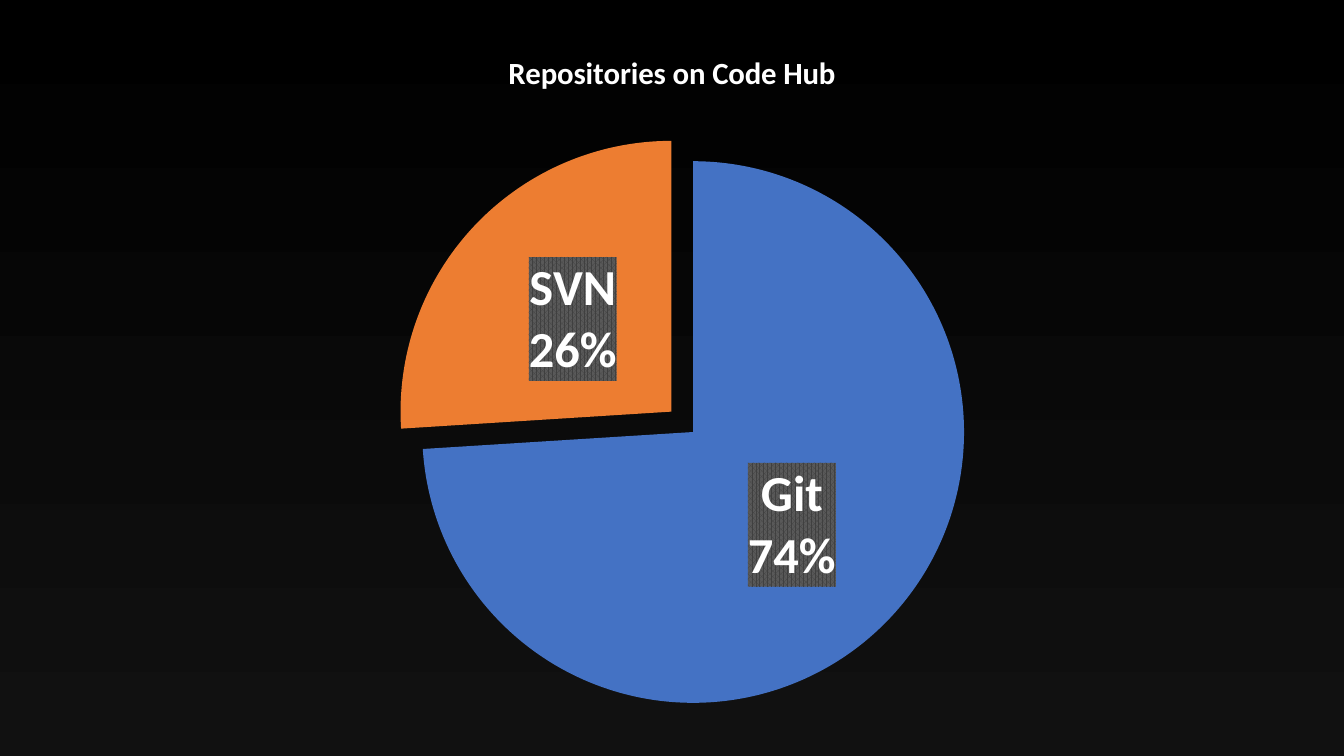
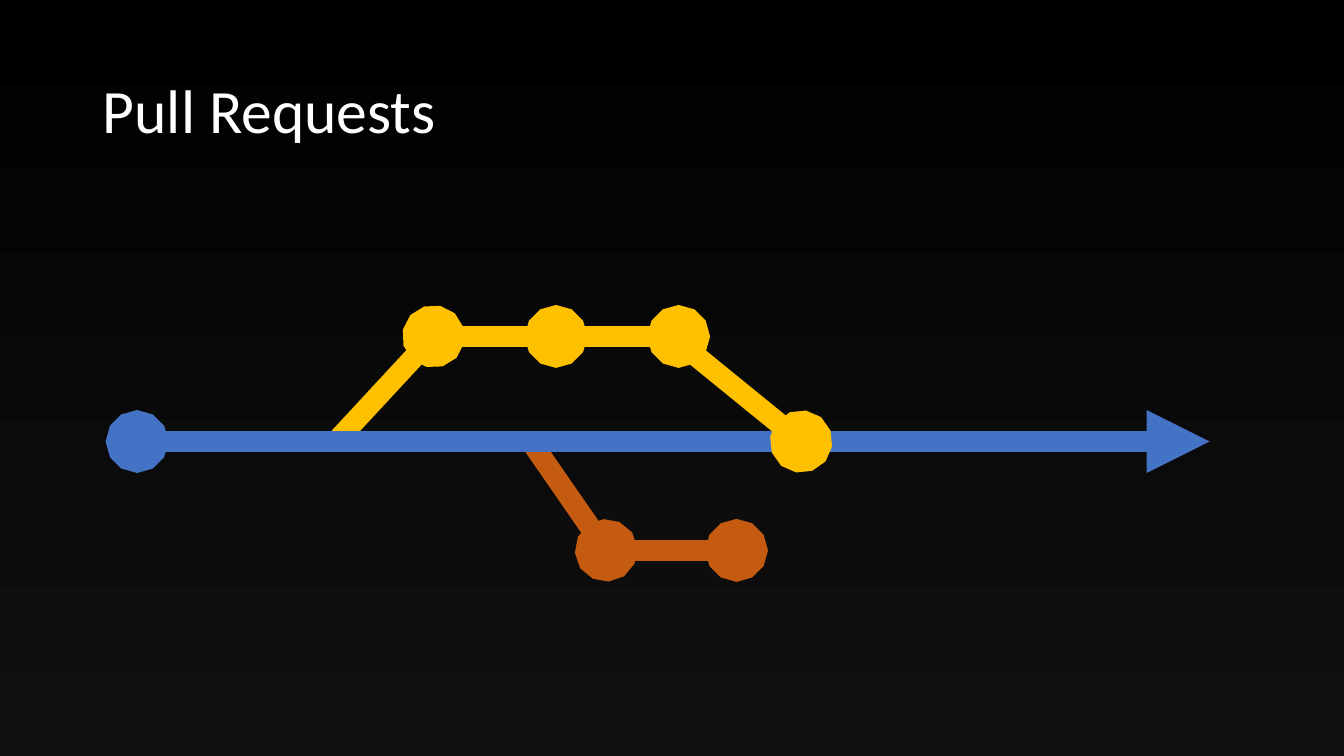
from lxml import etree
from pptx import Presentation
from pptx.chart.data import CategoryChartData
from pptx.dml.color import RGBColor
from pptx.enum.chart import XL_CHART_TYPE as ChartType, XL_LABEL_POSITION as LabelPosition
from pptx.enum.shapes import MSO_CONNECTOR as Connector
from pptx.enum.text import MSO_ANCHOR as Anchor, PP_ALIGN as Align
from pptx.oxml import parse_xml
from pptx.oxml.ns import nsdecls, qn
from pptx.util import Inches, Pt

FONT = "Calibri"
WHITE, BLUE, ORANGE, YELLOW, RUST = "FFFFFF", "4472C4", "ED7D31", "FFC000", "C55A11"
BACKDROP = ("000000", "111111")

color = RGBColor.from_string


def place_in_chart(owner, index, **percents):
    """Give a chart part a manual layout, in percent of the chart's size."""
    for old in owner.findall(qn("c:layout")):
        owner.remove(old)
    layout = etree.Element(qn("c:layout"))
    manual = etree.SubElement(layout, qn("c:manualLayout"))
    for tag in ("xMode", "yMode"):
        etree.SubElement(manual, qn(f"c:{tag}"), val="edge")
    for tag, percent in percents.items():
        etree.SubElement(manual, qn(f"c:{tag}"), val=str(percent / 100))
    owner.insert(index, layout)


def style_font(font, size, bold=False):
    font.name, font.size, font.bold = FONT, Pt(size), bold
    font.color.rgb = color(WHITE)


deck = Presentation()
deck.slide_width, deck.slide_height = Inches(13.33), Inches(7.5)
column, row = deck.slide_width / 100, deck.slide_height / 100

# Shared backdrop, dark at the top
backdrop = deck.slide_master.background.fill
backdrop.gradient()
backdrop.gradient_angle = 270
for stop, shade in zip(backdrop.gradient_stops, BACKDROP):
    stop.color.rgb = color(shade)

# Slide 1: share of repositories
page = deck.slides.add_slide(deck.slide_layouts[6])
data = CategoryChartData()
data.categories = ["Git", "SVN"]
data.add_series("Series 1", (74, 26))
chart = page.shapes.add_chart(
    ChartType.PIE, int(13.4 * column), int(3.9 * row),
    int(73.2 * column), int(92.1 * row), data).chart
chart.has_legend = False
style_font(chart.font, 10)

chart.has_title = True
span = chart.chart_title.text_frame.paragraphs[0].add_run()
span.text = "Repositories on Code Hub"
style_font(span.font, 22, bold=True)
place_in_chart(chart.chart_title._element, 1, x=32.8, y=2.3)

plot = chart.plots[0]
plot.vary_by_categories = True
place_in_chart(plot._element.getparent(), 0, x=22.4, y=16, w=55.1, h=77.8)
series = plot.series[0]
for index, fill_color in enumerate((BLUE, ORANGE)):
    slice_format = series.points[index].format
    slice_format.fill.solid()
    slice_format.fill.fore_color.rgb = color(fill_color)
    slice_format.line.fill.background()

git_slice = series._element.find(qn("c:dPt"))
explosion = etree.Element(qn("c:explosion"), val="11")
git_slice.find(qn("c:spPr")).addprevious(explosion)

plot.has_data_labels = True
labels = plot.data_labels
labels.show_value = False
labels.show_category_name = labels.show_percentage = True
labels.number_format, labels.number_format_is_linked = "0%", False
labels.position = LabelPosition.CENTER
style_font(labels.font, 36, bold=True)
labels._element.find(qn("c:txPr")).addprevious(parse_xml(
    f'<c:spPr {nsdecls("c", "a")}><a:pattFill prst="pct75">'
    '<a:fgClr><a:srgbClr val="404040"/></a:fgClr>'
    '<a:bgClr><a:srgbClr val="595959"/></a:bgClr></a:pattFill></c:spPr>'))
separator = etree.Element(qn("c:separator"))
separator.text = "\n"
labels._element.find(qn("c:showBubbleSize")).addnext(separator)

# Slide 2: branches of a pull request
page = deck.slides.add_slide(deck.slide_layouts[5])
title = page.shapes.title
title.left, title.top = int(6.9 * column), int(5.33 * row)
title.width, title.height = int(86.25 * column), int(19.33 * row)
title.text_frame.vertical_anchor = Anchor.MIDDLE
para = title.text_frame.paragraphs[0]
para.alignment, para.line_spacing = Align.LEFT, 0.9
span = para.add_run()
span.text = "Pull Requests"
style_font(span.font, 44)

UPPER, TRUNK, LOWER = 44.5, 58.4, 72.8
commits = [32.25 + 9.12 * step for step in range(4)]
fork, fix, last_fix = 39.5, 45.1, 54.8
branches = [
    # start, end, colour, head, tail
    ((25, TRUNK), (commits[0], UPPER), YELLOW, None, "oval"),
    ((commits[0], UPPER), (commits[1], UPPER), YELLOW, None, "oval"),
    ((commits[1], UPPER), (commits[2], UPPER), YELLOW, None, "oval"),
    ((fork, TRUNK), (fix, LOWER), RUST, None, "oval"),
    ((10.2, TRUNK), (90, TRUNK), BLUE, "oval", "triangle"),
    ((50, UPPER), (commits[3], TRUNK), YELLOW, None, "oval"),
    ((fix, LOWER), (last_fix, LOWER), RUST, None, "oval"),
]
for (x1, y1), (x2, y2), line_color, head, tail in branches:
    branch = page.shapes.add_connector(
        Connector.STRAIGHT, int(x1 * column), int(y1 * row),
        int(x2 * column), int(y2 * row))
    branch.line.width = Pt(15)
    branch.line.color.rgb = color(line_color)
    outline = branch.line._get_or_add_ln()
    for tag, end in (("a:headEnd", head), ("a:tailEnd", tail)):
        if end:
            etree.SubElement(outline, qn(tag), type=end)
    etree.SubElement(branch._element.spPr, qn("a:effectLst"))

deck.save("out.pptx")
